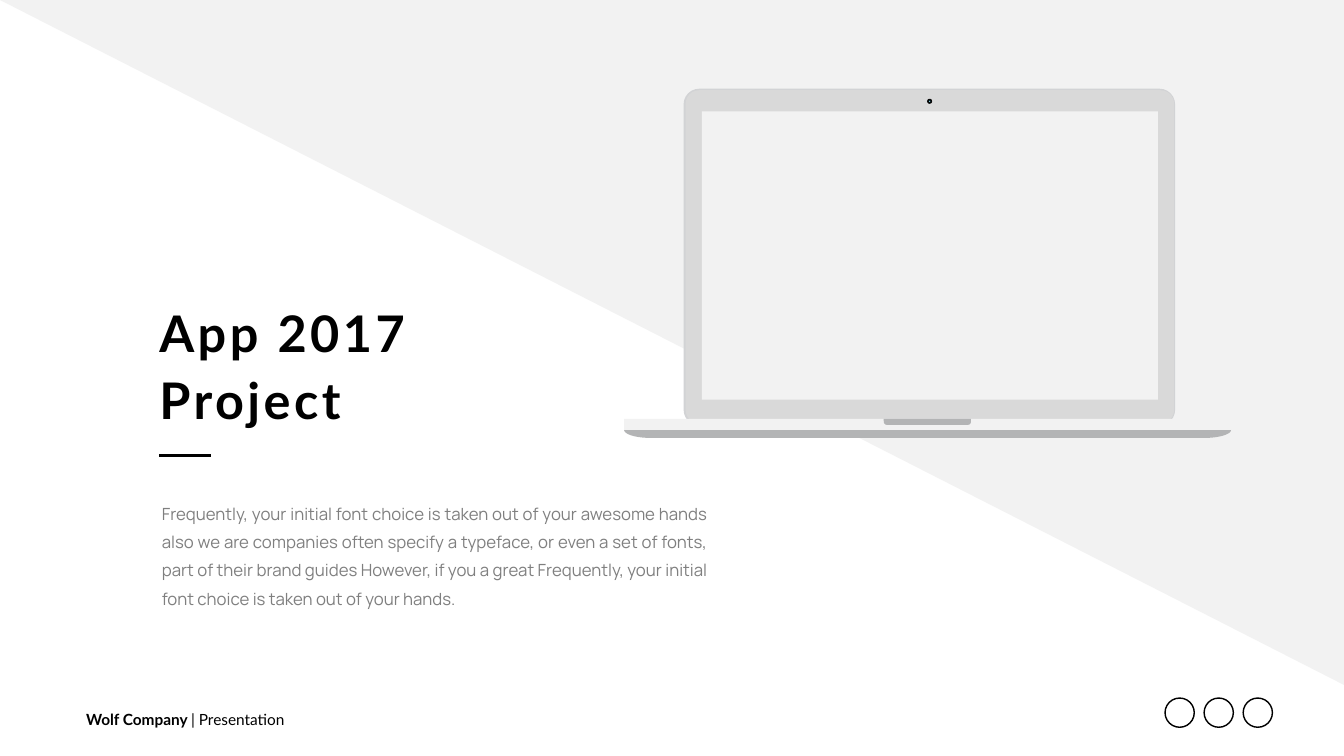
"""Build the App 2017 project slide with a laptop mockup."""
from math import cos, pi, sin

from pptx import Presentation
from pptx.dml.color import RGBColor
from pptx.enum.shapes import MSO_CONNECTOR, MSO_SHAPE
from pptx.enum.text import MSO_ANCHOR, PP_ALIGN
from pptx.util import Inches, Pt
from lxml import etree


def color(hex_string):
    return RGBColor.from_string(hex_string)


def add_form(kind, left, top, width, height, fill=None, line=None):
    form = slide.shapes.add_shape(kind, Inches(left), Inches(top), Inches(width), Inches(height))
    form.shadow.inherit = False
    if fill:
        form.fill.solid()
        form.fill.fore_color.rgb = color(fill)
    else:
        form.fill.background()
    if line:
        form.line.color.rgb = color(line)
        form.line.width = Pt(2)
    else:
        form.line.fill.background()
    return form


prs = Presentation()
prs.slide_width, prs.slide_height = Inches(26.66), Inches(15)
slide = prs.slides.add_slide(prs.slide_layouts[5])

backdrop = add_form(MSO_SHAPE.RIGHT_TRIANGLE, 0, 0, 26.66, 13.59, "F2F2F2")
backdrop.rotation = 180

title = slide.shapes.title
title.left, title.top, title.width, title.height = Inches(3.16), Inches(5.87), Inches(5.01), Inches(2.66)
heading = title.text_frame
heading.margin_left = heading.margin_right = heading.margin_top = heading.margin_bottom = 0
heading.vertical_anchor = MSO_ANCHOR.MIDDLE
heading.word_wrap = False
heading.text = "App 2017\nProject"
for paragraph in heading.paragraphs:
    paragraph.alignment = PP_ALIGN.LEFT
    paragraph.line_spacing = Pt(95)
    paragraph.space_before = Pt(0)
    paragraph.font.name = "Lato"
    paragraph.font.size = Pt(72)
    paragraph.font.bold = True
    paragraph.font.color.rgb = color("000000")
    for run in paragraph.runs:
        run._r.get_or_add_rPr().set("spc", "500")

accent = slide.shapes.add_connector(MSO_CONNECTOR.STRAIGHT, Inches(3.16), Inches(9.03), Inches(4.18), Inches(9.03))
accent.line.color.rgb = color("000000")
accent.line.width = Pt(4.5)
etree.SubElement(accent._element.spPr, "{http://schemas.openxmlformats.org/drawingml/2006/main}effectLst")

description = slide.shapes.add_textbox(Inches(2.97), Inches(9.71), Inches(11.3), Inches(2.48)).text_frame
description.word_wrap = True
description.margin_left = description.margin_right = Inches(0.24)
description.margin_top = description.margin_bottom = Inches(0.12)
description.text = (
    "Frequently, your initial font choice is taken out of your awesome hands also we are companies "
    "often specify a typeface, or even a set of fonts, part of their brand guides However, if you a "
    "great Frequently, your initial font choice is taken out of your hands."
)
body = description.paragraphs[0]
body.alignment = PP_ALIGN.JUSTIFY
body.line_spacing = Pt(40.4)
body.font.name = "Manrope"
body.font.size = Pt(24)
body.font.color.rgb = color("7F7F7F")

base_left, base_right, base_top, base_bottom = 12.38, 24.42, 8.53, 8.69
curve_width, curve_steps = 0.53, 12
angles = [pi / 2 * step / curve_steps for step in range(curve_steps + 1)]
curve = [(curve_width * (1 - cos(a)), base_top + (base_bottom - base_top) * sin(a)) for a in angles]
outline = [(base_left + x, y) for x, y in curve] + [(base_right - x, y) for x, y in reversed(curve)]
points = [(Inches(x), Inches(y)) for x, y in outline]
builder = slide.shapes.build_freeform(*points[0])
builder.add_line_segments(points[1:])
base = builder.convert_to_shape()
base.shadow.inherit = False
base.fill.solid()
base.fill.fore_color.rgb = color("B3B4B5")
base.line.fill.background()

for left, top, width, height, radius, fill in [
    (13.56, 1.76, 9.75, 6.68, 0.31, "D2D3D5"),
    (13.6, 1.79, 9.69, 6.61, 0.27, "D9D9D9"),
]:
    lid = add_form(MSO_SHAPE.ROUNDED_RECTANGLE, left, top, width, height, fill)
    lid.adjustments[0] = radius / height

add_form(MSO_SHAPE.RECTANGLE, base_left, 8.31, base_right - base_left, 0.22, "F2F2F2")
notch = add_form(MSO_SHAPE.ROUND_2_SAME_RECTANGLE, 17.53, 8.31, 1.73, 0.12, "B3B4B5")
notch.rotation = 180
notch.adjustments[0] = 0.5
add_form(MSO_SHAPE.RECTANGLE, 13.92, 2.21, 9.05, 5.72, "F2F2F2")

for diameter, fill in [(0.1, "0A0A0A"), (0.06, "000000"), (0.03, "2C99B4"), (0.01, "FFFFFF")]:
    add_form(MSO_SHAPE.OVAL, 18.44 - diameter / 2, 2.01 - diameter / 2, diameter, diameter, fill)

footer = slide.shapes.add_textbox(Inches(1.61), Inches(14.03), Inches(4.17), Inches(0.47)).text_frame
footer.word_wrap = False
footer.vertical_anchor = MSO_ANCHOR.MIDDLE
signature = footer.paragraphs[0]
signature.font.name = "Lato"
signature.font.size = Pt(22)
signature.font.color.rgb = color("000000")
for wording, bold in [("Wolf Company ", True), ("| Presentation", False)]:
    run = signature.add_run()
    run.text = wording
    run.font.bold = bold

for position in range(3):
    add_form(MSO_SHAPE.OVAL, 23.11 + 0.775 * position, 13.85, 0.58, 0.58, line="000000")

prs.save("out.pptx")
